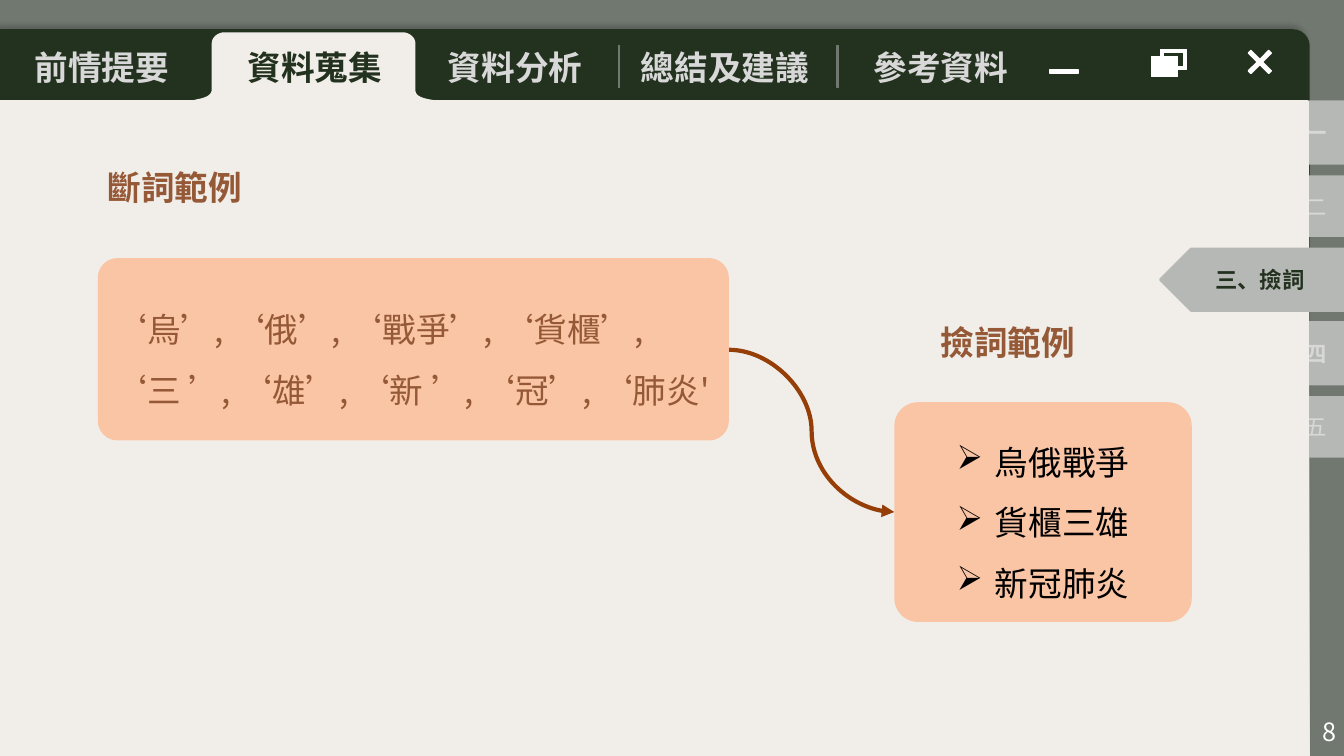
import pptx
import pptx.util
import pptx.dml.color
import pptx.enum.shapes
import pptx.enum.text
import pptx.oxml
import pptx.oxml.ns
from lxml import etree

Inches = pptx.util.Inches
Pt = pptx.util.Pt
RGBColor = pptx.dml.color.RGBColor
SHAPE = pptx.enum.shapes.MSO_SHAPE
ALIGN = pptx.enum.text.PP_ALIGN
ANCHOR = pptx.enum.text.MSO_ANCHOR
qn = pptx.oxml.ns.qn

BACKDROP = RGBColor(0x71, 0x78, 0x70)
FOREST = RGBColor(0x23, 0x32, 0x1F)
CREAM = RGBColor(0xF1, 0xEE, 0xE9)
TAB_GREY = RGBColor(0xB6, 0xB8, 0xB5)
PALE = RGBColor(0xD8, 0xD8, 0xD8)
WHITE = RGBColor(0xFF, 0xFF, 0xFF)
BLACK = RGBColor(0, 0, 0)
BROWN = RGBColor(0x95, 0x59, 0x37)
RUST = RGBColor(0x96, 0x3E, 0x08)
PEACH = RGBColor(0xFA, 0xC5, 0xA4)

SC = "Noto Sans CJK SC"
TC = "Noto Sans CJK TC"
KR = "Noto Sans CJK KR"


def write(frame, text, size=24, font=SC, color=BROWN, bold=False, align=ALIGN.CENTER,
          anchor=ANCHOR.MIDDLE, spacing=None, bullet=None, insets=(0.1, 0.05, 0.1, 0.05)):
    frame.word_wrap = True
    frame.vertical_anchor = anchor
    (frame.margin_left, frame.margin_top,
     frame.margin_right, frame.margin_bottom) = map(Inches, insets)
    for index, line in enumerate(text.split("\n")):
        paragraph = frame.add_paragraph() if index else frame.paragraphs[0]
        paragraph.alignment = align
        if spacing:
            paragraph.line_spacing = spacing
        if bullet:
            props = paragraph._p.get_or_add_pPr()
            props.set("marL", str(Inches(0.38)))
            props.set("indent", str(Inches(-0.38)))
            bullet_color = etree.SubElement(props, qn("a:buClr"))
            etree.SubElement(bullet_color, qn("a:srgbClr"), val=str(color))
            etree.SubElement(props, qn("a:buChar"), char=bullet)
        run = paragraph.add_run()
        run.text = line
        run.font.size = Pt(size)
        run.font.bold = bold
        run.font.name = font
        run.font.color.rgb = color
        etree.SubElement(run._r.get_or_add_rPr(), qn("a:ea"), typeface=font)


def bezier(start, first, second, end, steps=10):
    points = []
    for step in range(1, steps + 1):
        t = step / steps
        weights = ((1 - t) ** 3, 3 * t * (1 - t) ** 2, 3 * t * t * (1 - t), t ** 3)
        points.append(tuple(sum(w * p[axis] for w, p in zip(weights, (start, first, second, end)))
                            for axis in (0, 1)))
    return points


class Slide:
    def __init__(self, deck):
        self.slide = deck.slides.add_slide(deck.slide_layouts[6])
        self.slide.background.fill.solid()
        self.slide.background.fill.fore_color.rgb = BACKDROP

    def paint(self, shape, fill, line=None, width=1):
        shape.shadow.inherit = False
        shape.fill.solid()
        shape.fill.fore_color.rgb = fill
        if line is None:
            shape.line.fill.background()
        else:
            shape.line.color.rgb = line
            shape.line.width = Pt(width)
        return shape

    def shape(self, kind, box, fill, line=None, width=1, adjust=None, flip=False):
        shape = self.slide.shapes.add_shape(kind, *map(Inches, box))
        if adjust is not None:
            shape.adjustments[0] = adjust
        if flip:
            shape._element.spPr.find(qn("a:xfrm")).set("flipH", "1")
        return self.paint(shape, fill, line, width)

    def label(self, box, text, **style):
        write(self.slide.shapes.add_textbox(*map(Inches, box)).text_frame, text, **style)

    def card(self, box, text, **style):
        card = self.shape(SHAPE.ROUNDED_RECTANGLE, box, PEACH, adjust=0.108)
        write(card.text_frame, text, spacing=1.5, **style)

    def window(self, box):
        window = self.shape(SHAPE.ROUND_1_RECTANGLE, box, FOREST, adjust=0.023)
        window.fill.gradient()
        window.fill.gradient_angle = 270
        for stop, position, color in zip(window.fill.gradient_stops, (0.1, 1), (FOREST, CREAM)):
            stop.position = position
            stop.color.rgb = color
        effects = window._element.spPr.find(qn("a:effectLst"))
        shadow = etree.SubElement(effects, qn("a:outerShdw"), blurRad=str(Pt(4)),
                                  dist=str(Pt(3)), dir=str(225 * 60000))
        shade = etree.SubElement(shadow, qn("a:srgbClr"), val=str(BLACK))
        etree.SubElement(shade, qn("a:alpha"), val="20000")

    def side_tab(self, row, text, color, bold, outlined, left_inset):
        tab = self.shape(SHAPE.PENTAGON, (11.51, 1.01 + 0.73 * row, 1.82, 0.61), TAB_GREY,
                         TAB_GREY if outlined else None, 2, flip=True)
        write(tab.text_frame, text, size=16, color=color, bold=bold, insets=(left_inset, 0, 0, 0))

    def active_tab(self, text):
        outline = [(2.1, 0.43)]
        for corner in (
            [(2.1, 0.37), (2.16, 0.32), (2.23, 0.32)], [(3.99, 0.32)],
            [(4.06, 0.32), (4.12, 0.37), (4.12, 0.43)], [(4.12, 0.9)],
            [(4.12, 0.99), (4.35, 0.99), (4.32, 1)],
            [(4.3, 1.02), (4.29, 1.01), (3.99, 1.01)], [(2.23, 1.01)],
            [(1.91, 1.01), (1.94, 1.02), (1.92, 1)],
            [(1.9, 0.98), (2.08, 0.99), (2.1, 0.9)],
        ):
            outline += bezier(outline[-1], *corner) if len(corner) == 3 else corner
        points = [(Inches(x), Inches(y)) for x, y in outline]
        builder = self.slide.shapes.build_freeform(*points[0])
        builder.add_line_segments(points[1:], close=True)
        tab = self.paint(builder.convert_to_shape(), CREAM)
        write(tab.text_frame, text, font=TC, color=FOREST, bold=True)

    def arrow(self, start, end):
        arrow = self.slide.shapes.add_connector(
            pptx.enum.shapes.MSO_CONNECTOR.CURVE, *map(Inches, start + end))
        arrow.line.color.rgb = RUST
        arrow.line.width = Pt(3)
        etree.SubElement(arrow.line._get_or_add_ln(), qn("a:tailEnd"), type="triangle")
        etree.SubElement(arrow._element.spPr, qn("a:effectLst"))


def main():
    deck = pptx.Presentation()
    deck.slide_width = Inches(13.33)
    deck.slide_height = Inches(7.5)
    page = Slide(deck)

    page.window((0, 0.29, 12.99, 7.21))
    for kind, box, adjust in (
        (SHAPE.MATH_MULTIPLY, (12.3, 0.42, 0.39, 0.39), 0.092),
        (SHAPE.FRAME, (11.51, 0.49, 0.26, 0.2), 0.125),
        (SHAPE.FRAME, (11.42, 0.56, 0.26, 0.2), 0.5),
        (SHAPE.MATH_MINUS, (10.36, 0.65, 0.39, 0.12), 0.235),
    ):
        page.shape(kind, box, WHITE, WHITE, adjust=adjust)

    for row, numeral, strong in ((0, "一", True), (1, "二", False),
                                 (3, "四", True), (4, "五", False)):
        page.side_tab(row, numeral, PALE, strong, strong, 1.11)
    page.shape(SHAPE.RECTANGLE, (0, 1.01, 12.97, 6.49), CREAM, CREAM, 2)
    page.side_tab(2, "三、撿詞", FOREST, True, True, 0)

    page.active_tab("資料蒐集")
    for left in (6.13, 8.3):
        page.shape(SHAPE.MATH_MINUS, (left, -0.23, 0.02, 1.78), BACKDROP, BACKDROP, adjust=0.235)
    for left, section in ((-0.18, "前情提要"), (3.92, "資料分析"),
                          (6, "總結及建議"), (8.14, "參考資料")):
        page.label((left, 0.32, 2.38, 0.7), section, font=TC, color=PALE, bold=True)

    page.label((10.35, 7.06, 3, 0.4), "8", size=18, font=KR, color=WHITE, align=ALIGN.RIGHT)
    for box, heading in (((0.97, 1.41, 1.71, 0.71), "斷詞範例"),
                         ((9.23, 2.94, 2.95, 0.71), "撿詞範例")):
        page.label(box, heading, bold=True, align=ALIGN.JUSTIFY, anchor=ANCHOR.TOP, spacing=1.5)
    page.arrow((7.23, 3.47), (8.87, 5.08))
    page.card((8.87, 3.99, 2.95, 2.18), "烏俄戰爭\n貨櫃三雄\n新冠肺炎", color=BLACK, bullet="➢")
    page.card((0.97, 2.56, 6.26, 1.81),
              "‘烏’, ‘俄’, ‘戰爭’, ‘貨櫃’, ‘三 ’, ‘雄’, ‘新 ’, ‘冠’, ‘肺炎'", align=ALIGN.LEFT)
    deck.save("out.pptx")


if __name__ == "__main__":
    main()
